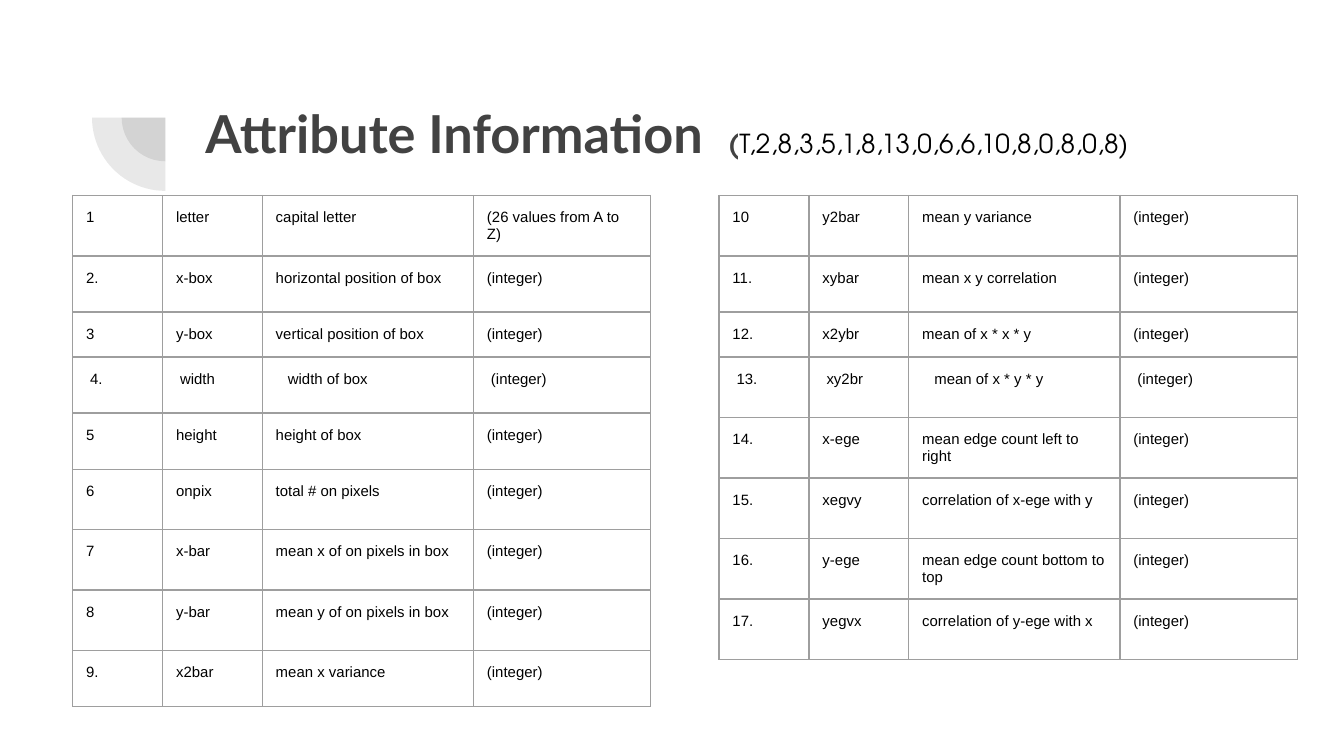
from dataclasses import dataclass

from lxml.etree import SubElement
from pptx import Presentation
from pptx.dml.color import RGBColor
from pptx.enum.shapes import MSO_SHAPE
from pptx.enum.text import MSO_ANCHOR
from pptx.oxml import parse_xml
from pptx.oxml.ns import nsdecls, qn
from pptx.util import Emu, Inches, Pt


@dataclass(frozen=True)
class Theme:
    ink: str = "424242"
    text: str = "000000"
    border: str = "9E9E9E"
    border_points: float = 0.75
    title_font: str = "Lato"
    sample_font: str = "TeX Gyre Adventor"
    table_font: str = "Arial"
    title_size: int = 28
    sample_size: int = 14
    table_size: int = 8


class SlideBuilder:
    """Places elements on a square grid, 100 columns across the slide."""

    def __init__(self, presentation, theme):
        self.theme = theme
        self.unit = presentation.slide_width / 100
        self.slide = presentation.slides.add_slide(presentation.slide_layouts[6])

    def grid(self, *lengths):
        return [Emu(round(length * self.unit)) for length in lengths]

    def quarter_disc(self, center_x, center_y, radius):
        box = self.grid(center_x - radius, center_y - radius, 2 * radius, 2 * radius)
        shape = self.slide.shapes.add_shape(MSO_SHAPE.PIE, *box)
        shape.adjustments[0], shape.adjustments[1] = 108, 162
        shape.rotation = 270
        shape.shadow.inherit = False
        shape.line.fill.background()
        shape.fill.solid()
        shape.fill.fore_color.rgb = RGBColor.from_string(self.theme.ink)
        color = shape.fill._xPr.find(".//" + qn("a:srgbClr"))
        SubElement(color, qn("a:alpha"), val="12000")

    def title(self, left, top, width, height, runs, tab):
        shape = self.slide.shapes.add_textbox(*self.grid(left, top, width, height))
        frame = shape.text_frame
        frame.word_wrap = True
        frame.vertical_anchor = MSO_ANCHOR.TOP
        self.set_margins(frame)
        paragraph = frame.paragraphs[0]
        # The sample record starts at a tab stop
        stops = SubElement(paragraph._p.get_or_add_pPr(), qn("a:tabLst"))
        SubElement(stops, qn("a:tab"), pos=str(self.grid(tab)[0]), algn="l")
        for text, font, size, color, bold in runs:
            run = paragraph.add_run()
            run.text = text
            self.set_font(run.font, font, size, color, bold)

    def table(self, left, top, columns, heights, records, indents):
        box = self.grid(left, top, sum(columns), sum(heights))
        frame = self.slide.shapes.add_table(len(records), len(columns), *box)
        table = frame.table
        table.first_row = table.horz_banding = False
        for column, width in zip(table.columns, self.grid(*columns)):
            column.width = width
        for row, height, record in zip(table.rows, self.grid(*heights), records):
            row.height = height
            for index, (cell, text) in enumerate(zip(row.cells, record)):
                self.fill_cell(cell, text)
                if record in indents:
                    properties = cell.text_frame.paragraphs[0]._p.get_or_add_pPr()
                    properties.set("marL", str(self.grid(indents[record][index])[0]))

    def fill_cell(self, cell, text):
        theme = self.theme
        cell.text = text
        cell.fill.background()
        self.set_margins(cell, bottom=0.8)
        self.set_font(cell.text_frame.paragraphs[0].font, theme.table_font,
                      theme.table_size, theme.text, False)
        properties = cell._tc.get_or_add_tcPr()
        for position, side in enumerate("LRTB"):
            properties.insert(position, parse_xml(
                f'<a:ln{side} {nsdecls("a")} w="{Pt(theme.border_points)}">'
                f'<a:solidFill><a:srgbClr val="{theme.border}"/></a:solidFill>'
                f'</a:ln{side}>'))

    def set_margins(self, holder, bottom=1):
        holder.margin_left, holder.margin_right = self.grid(1, 1)
        holder.margin_top, holder.margin_bottom = self.grid(1, bottom)

    @staticmethod
    def set_font(font, name, size, color, bold):
        font.name, font.size, font.bold = name, Pt(size), bold
        font.color.rgb = RGBColor.from_string(color)


INTEGER = "(integer)"
WIDTH_RECORD = ("4.", "width", "width of box", INTEGER)
MEAN_RECORD = ("13.", "xy2br", "mean of x * y * y", INTEGER)
FIRST_ATTRIBUTES = [
    ("1", "letter", "capital letter", "(26 values from A to Z)"),
    ("2.", "x-box", "horizontal position of box", INTEGER),
    ("3", "y-box", "vertical position of box", INTEGER),
    WIDTH_RECORD,
    ("5", "height", "height of box", INTEGER),
    ("6", "onpix", "total # on pixels", INTEGER),
    ("7", "x-bar", "mean x of on pixels in box", INTEGER),
    ("8", "y-bar", "mean y of on pixels in box", INTEGER),
    ("9.", "x2bar", "mean x variance", INTEGER),
]
LAST_ATTRIBUTES = [
    ("10", "y2bar", "mean y variance", INTEGER),
    ("11.", "xybar", "mean x y correlation", INTEGER),
    ("12.", "x2ybr", "mean of x * x * y", INTEGER),
    MEAN_RECORD,
    ("14.", "x-ege", "mean edge count left to right", INTEGER),
    ("15.", "xegvy", "correlation of x-ege with y", INTEGER),
    ("16.", "y-ege", "mean edge count bottom to top", INTEGER),
    ("17.", "yegvx", "correlation of y-ege with x", INTEGER),
]
COLUMNS = (6.7, 7.42, 15.72, 13.2)
TALL, MEDIUM, SHORT = 4.5, 4.17, 3.35
INDENTS = {record: (0.3, 0.3, 0.9, 0.3) for record in (WIDTH_RECORD, MEAN_RECORD)}


def main():
    theme = Theme()
    presentation = Presentation()
    # Widescreen, 16 to 9
    presentation.slide_width = Inches(10)
    presentation.slide_height = presentation.slide_width * 9 // 16
    builder = SlideBuilder(presentation, theme)

    # Corner ornament: two quarter discs around one centre
    for radius in (3.25, 5.45):
        builder.quarter_disc(12.3, 8.75, radius)

    # Title with a sample record
    builder.title(14.3, 6.55, 84.6, 5.7, [
        ("Attribute Information\t", theme.title_font, theme.title_size, theme.ink, True),
        ("(", theme.sample_font, theme.sample_size, theme.ink, True),
        ("T,2,8,3,5,1,8,13,0,6,6,10,8,0,8,0,8)", theme.sample_font,
         theme.sample_size, theme.text, False),
    ], tab=38.9)

    # Attribute tables
    opening = [TALL, MEDIUM, SHORT]
    builder.table(53.5, 14.55, COLUMNS, opening + [TALL] * 5, LAST_ATTRIBUTES, INDENTS)
    builder.table(5.4, 14.55, COLUMNS, opening + [MEDIUM] * 2 + [TALL] * 3 + [MEDIUM],
                  FIRST_ATTRIBUTES, INDENTS)

    presentation.save("out.pptx")


if __name__ == "__main__":
    main()
